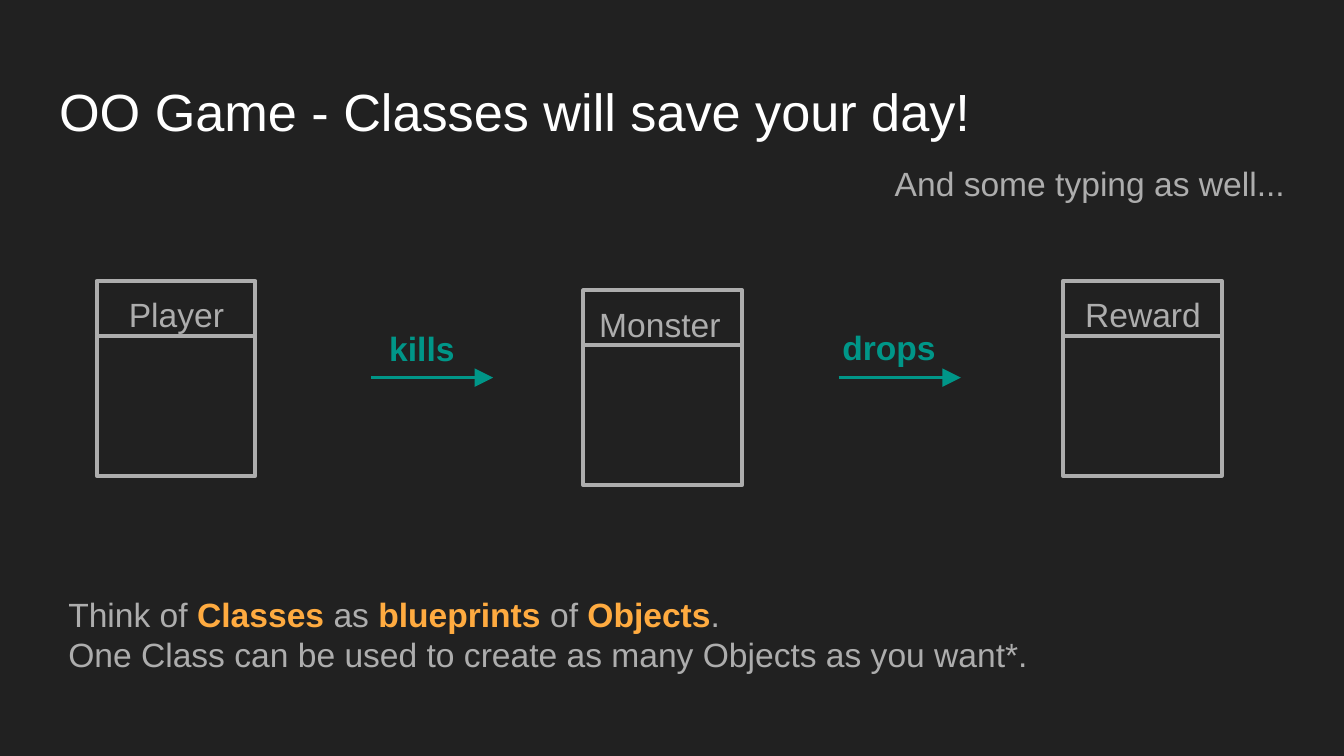
from lxml.etree import SubElement
from pptx import Presentation
from pptx.dml.color import RGBColor
from pptx.enum.shapes import MSO_CONNECTOR, MSO_SHAPE
from pptx.enum.text import MSO_ANCHOR, MSO_AUTO_SIZE, PP_ALIGN
from pptx.oxml.ns import qn
from pptx.util import Inches, Pt

COLORS = {"background": "212121", "title": "FFFFFF", "gray": "ADADAD",
          "teal": "009688", "orange": "FFAB40"}

deck = Presentation()
deck.slide_width = Inches(10)
deck.slide_height = Inches(10) * 9 // 16
page = deck.slides.add_slide(deck.slide_layouts[5])
page.background.fill.solid()
page.background.fill.fore_color.rgb = RGBColor.from_string(COLORS["background"])


def write(box, place, lines, color="gray", size=18, bold=False, align=PP_ALIGN.LEFT):
    """Place a box and fill it; every second piece split by | is a highlight."""
    box.left, box.top, box.width, box.height = [Inches(length) for length in place]
    frame = box.text_frame
    frame.word_wrap = True
    frame.auto_size = MSO_AUTO_SIZE.NONE
    frame.vertical_anchor = MSO_ANCHOR.TOP
    frame.margin_left = frame.margin_right = Inches(0.1)
    frame.margin_top = frame.margin_bottom = Inches(0.1)
    for number, line in enumerate(lines):
        para = frame.add_paragraph() if number else frame.paragraphs[0]
        para.alignment = align
        for index, piece in enumerate(line.split("|")):
            highlight = index % 2 == 1
            span = para.add_run()
            span.text = piece
            span.font.name = "Arial"
            span.font.size = Pt(size)
            span.font.bold = bold or highlight
            span.font.color.rgb = RGBColor.from_string(
                COLORS["orange" if highlight else color])


def draw_line(left, top, length, color, width, arrow=False):
    line = page.shapes.add_connector(
        MSO_CONNECTOR.STRAIGHT, Inches(left), Inches(top), Inches(left + length), Inches(top))
    line.line.color.rgb = RGBColor.from_string(COLORS[color])
    line.line.width = Pt(width)
    if arrow:
        stroke = line._element.spPr.find(qn("a:ln"))
        SubElement(stroke, qn("a:tailEnd"), type="triangle", w="lg", len="lg")
    SubElement(line._element.spPr, qn("a:effectLst"))


write(page.shapes.title, (0.34, 0.49, 9.32, 0.63),
      ["OO Game - Classes will save your day!"], "title", 28)

# Class boxes: name, left, top, label left, label width, label alignment
classes = [
    ("Player", 0.72, 2.09, 0.86, 1.05, PP_ALIGN.LEFT),
    ("Monster", 4.34, 2.16, 4.3, 1.22, PP_ALIGN.CENTER),
    ("Reward", 7.91, 2.09, 7.92, 1.17, PP_ALIGN.CENTER),
]
for name, left, top, label_left, label_width, align in classes:
    outline = page.shapes.add_shape(
        MSO_SHAPE.RECTANGLE, Inches(left), Inches(top), Inches(1.18), Inches(1.45))
    outline.shadow.inherit = False
    outline.fill.background()
    outline.line.color.rgb = RGBColor.from_string(COLORS["gray"])
    outline.line.width = Pt(2.25)
    draw_line(left + 0.01, top + 0.41, 1.17, "gray", 2.25)
    write(page.shapes.add_textbox(0, 0, 0, 0), (label_left, top, label_width, 0.33),
          [name], align=align)

# Relations: verb, arrow left, label place
relations = [
    ("kills", 2.76, (2.76, 2.34, 0.76, 0.39)),
    ("drops", 6.24, (6.16, 2.33, 0.91, 0.39)),
]
for verb, left, place in relations:
    draw_line(left, 2.81, 0.91, "teal", 1.5, arrow=True)
    write(page.shapes.add_textbox(0, 0, 0, 0), place, [verb], "teal",
          bold=True, align=PP_ALIGN.CENTER)

write(page.shapes.add_textbox(0, 0, 0, 0), (3.98, 1.11, 5.68, 0.66),
      ["And some typing as well..."], align=PP_ALIGN.RIGHT)
write(page.shapes.add_textbox(0, 0, 0, 0), (0.41, 4.32, 9.19, 1.11),
      ["Think of |Classes| as |blueprints| of |Objects|.",
       "One Class can be used to create as many Objects as you want*."])

deck.save("out.pptx")
